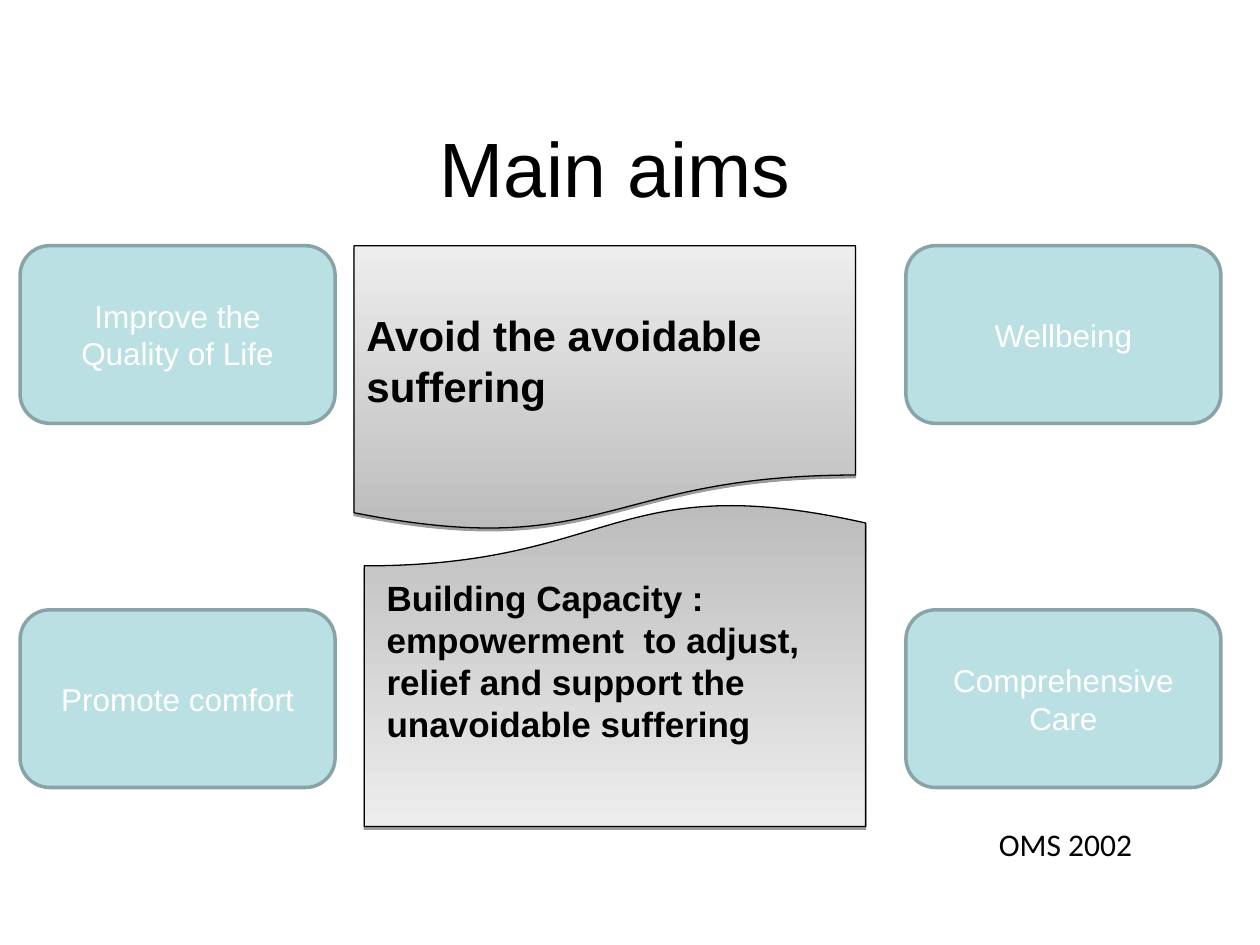
from dataclasses import dataclass

from lxml.etree import SubElement
from pptx import Presentation
from pptx.dml.color import RGBColor as RGB
from pptx.enum.shapes import MSO_SHAPE as SHAPE
from pptx.enum.text import MSO_ANCHOR as ANCHOR, MSO_AUTO_SIZE as FIT, PP_ALIGN as ALIGN
from pptx.oxml.ns import qn
from pptx.util import Inches, Pt


@dataclass(frozen=True)
class Theme:
    ink: str = "000000"
    light: str = "FFFFFF"
    card: str = "BBE0E3"
    card_line: str = "89A4A7"
    grey_dark: str = "BCBCBC"
    grey_light: str = "EDEDED"
    font: str = "Arial"
    source_font: str = "Calibri"
    title: int = 44
    lead: int = 24
    body: int = 20
    label: int = 18


class AimsSlide:
    """Draws the elements of the aims slide in one theme."""

    def __init__(self, prs, theme):
        self.theme = theme
        self.slide = prs.slides.add_slide(prs.slide_layouts[5])

    def set_text(self, s, text, size, color, align=ALIGN.LEFT, anchor=ANCHOR.MIDDLE,
                 bold=False, font=None):
        tf = s.text_frame
        tf.text = text
        tf.word_wrap = True
        tf.vertical_anchor = anchor
        p = tf.paragraphs[0]
        p.alignment = align
        r = p.runs[0]
        r.font.name = font or self.theme.font
        r.font.size = Pt(size)
        r.font.bold = bold
        r.font.color.rgb = RGB.from_string(color)

    def title(self, text, box):
        s = self.slide.shapes.title
        s.left, s.top, s.width, s.height = map(Inches, box)
        self.set_text(s, text, self.theme.title, self.theme.ink, ALIGN.CENTER)

    def shape(self, kind, box, line, width):
        s = self.slide.shapes.add_shape(kind, *map(Inches, box))
        s.shadow.inherit = False
        s.line.color.rgb = RGB.from_string(line)
        s.line.width = Pt(width)
        return s

    def card(self, text, left, top):
        t = self.theme
        s = self.shape(SHAPE.FLOWCHART_ALTERNATE_PROCESS, (left, top, 2.5, 1.41), t.card_line, 2)
        s.fill.solid()
        s.fill.fore_color.rgb = RGB.from_string(t.card)
        self.set_text(s, text, t.label, t.light, ALIGN.CENTER)

    def panel(self, box, angle, rotation=0, text=None):
        t = self.theme
        s = self.shape(SHAPE.FLOWCHART_DOCUMENT, box, t.ink, 0.75)
        s.rotation = rotation
        s.fill.gradient()
        s.fill.gradient_angle = angle
        for stop, color, position in zip(s.fill.gradient_stops, (t.grey_dark, t.grey_light), (0, 1)):
            stop.color.rgb = RGB.from_string(color)
            stop.position = position
        pr = s._element.spPr
        pr.find(qn("a:gradFill")).set("rotWithShape", "0")
        shadow = SubElement(pr.find(qn("a:effectLst")), qn("a:outerShdw"), blurRad="0",
                            dist=str(Pt(1.6)), dir="5400000", rotWithShape="0")
        color = SubElement(shadow, qn("a:srgbClr"), val=t.ink)
        SubElement(color, qn("a:alpha"), val="38000")
        if text:
            self.set_text(s, text, t.lead, t.ink, bold=True)

    def text(self, text, box, size, bold=False, font=None):
        s = self.slide.shapes.add_textbox(*map(Inches, box))
        self.set_text(s, text, size, self.theme.ink, anchor=ANCHOR.TOP, bold=bold, font=font)
        s.text_frame.auto_size = FIT.SHAPE_TO_FIT_TEXT


def main():
    prs = Presentation()
    prs.slide_width, prs.slide_height = Inches(10), Inches(7.5)
    theme = Theme()
    aims = AimsSlide(prs, theme)
    left, right = 0.16, 7.19
    upper, lower = 1.95, 4.84

    aims.title("Main aims", (0.63, 0.7, 8.5, 1.25))
    aims.panel((2.81, upper, 3.98, 2.27), 90, text="Avoid the avoidable suffering")
    aims.panel((2.89, 3.98, 3.98, 2.58), 270, rotation=180)
    aims.text("Building Capacity : empowerment  to adjust, relief and support the "
              "unavoidable suffering", (2.97, 4.53, 3.67, 1.77), theme.body, bold=True)
    for label, x, y in (
        ("Wellbeing", right, upper),
        ("Promote comfort", left, lower),
        ("Improve the Quality of Life", left, upper),
        ("Comprehensive Care", right, lower),
    ):
        aims.card(label, x, y)
    aims.text("OMS 2002", (7.83, 6.5, 1.67, 0.4), theme.label, font=theme.source_font)
    prs.save("out.pptx")


if __name__ == "__main__":
    main()
